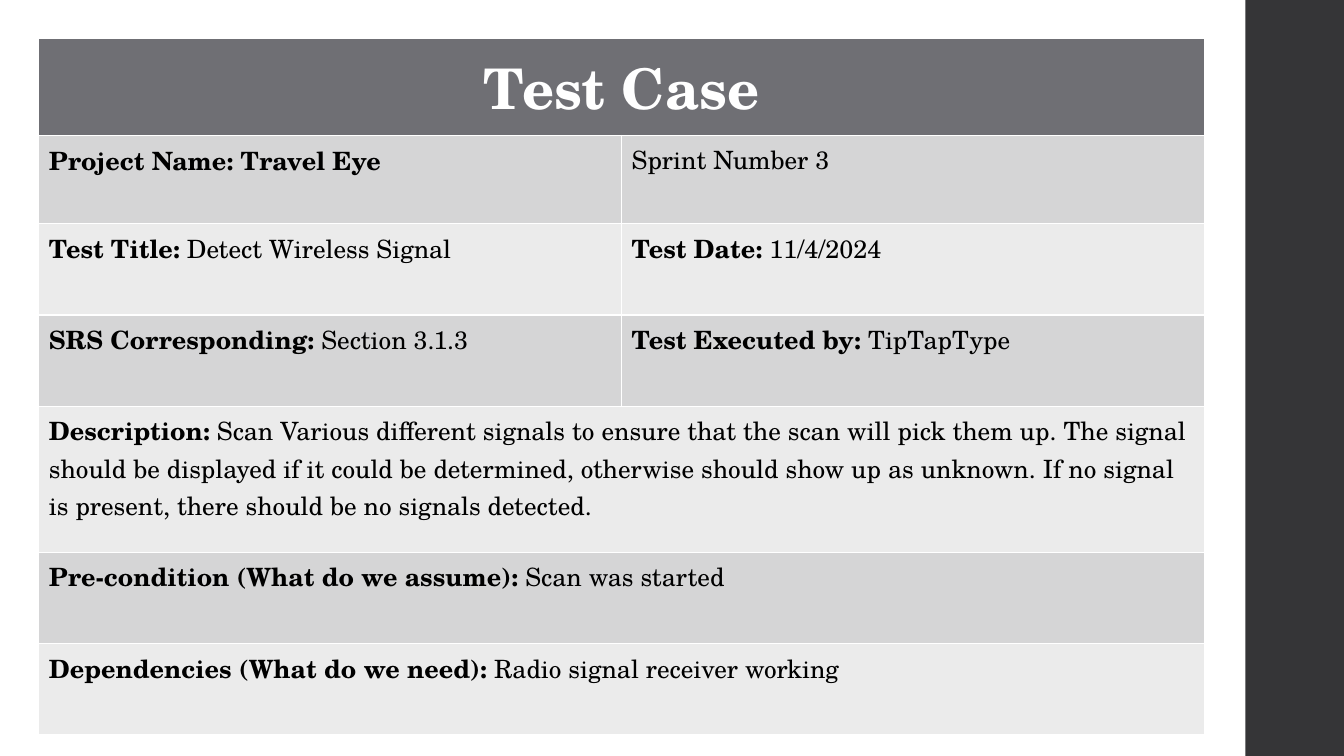
import pptx
import pptx.dml.color
import pptx.enum.shapes
import pptx.enum.text
import pptx.util

EMU_PER_PX = 9525
SLIDE_SIZE = (1280, 720)
FONT = "TeX Gyre Schola"
HEADER_FILL = "6F6F74"
BAND_FILLS = ("EBEBEB", "D5D5D6")
ROW_HEIGHTS = (84, 84, 87, 87, 139, 87, 87)
COLUMN_WIDTH = 555

# Each row holds its cells, and each cell is a (bold label, plain value) pair.
DETAILS = (
    (("Project Name: Travel Eye", ""), ("", "Sprint Number 3")),
    (("Test Title:", " Detect Wireless Signal"), ("Test Date:", " 11/4/2024")),
    (("SRS Corresponding:", " Section 3.1.3"),
     ("Test Executed by: ", "TipTapType")),
    (("Description:",
      " Scan Various different signals to ensure that the scan will pick them up. "
      "The signal should be displayed if it could be determined, otherwise should "
      "show up as unknown. If no signal is present, there should be no signals "
      "detected."),),
    (("Pre-condition (What do we assume):", " Scan was started"),),
    (("Dependencies (What do we need):", " Radio signal receiver working"),),
)


def px(length):
    return pptx.util.Emu(length * EMU_PER_PX)


def paint(fill, color):
    fill.solid()
    fill.fore_color.rgb = pptx.dml.color.RGBColor.from_string(color)


def add_run(paragraph, text, size, color, bold):
    run = paragraph.add_run()
    run.text = text
    run.font.name = FONT
    run.font.size = pptx.util.Pt(size)
    run.font.bold = bold
    run.font.color.rgb = pptx.dml.color.RGBColor.from_string(color)


def add_sidebar(slide):
    left = 1186
    sidebar = slide.shapes.add_shape(
        pptx.enum.shapes.MSO_SHAPE.RECTANGLE,
        px(left), 0, px(SLIDE_SIZE[0] - left), px(SLIDE_SIZE[1]))
    sidebar.shadow.inherit = False
    paint(sidebar.fill, "353537")
    sidebar.line.fill.background()


def add_test_table(slide):
    table = slide.shapes.add_table(
        len(ROW_HEIGHTS), 2, px(37), px(37),
        px(2 * COLUMN_WIDTH), px(sum(ROW_HEIGHTS))).table
    for column in table.columns:
        column.width = px(COLUMN_WIDTH)
    for row, height in zip(table.rows, ROW_HEIGHTS):
        row.height = px(height)
    return table


def merge_row(table, row):
    table.cell(row, 0).merge(table.cell(row, 1))


def fill_header(table):
    merge_row(table, 0)
    for cell in table.rows[0].cells:
        paint(cell.fill, HEADER_FILL)
    heading = table.cell(0, 0).text_frame.paragraphs[0]
    heading.alignment = pptx.enum.text.PP_ALIGN.CENTER
    add_run(heading, "Test Case", 40, "FFFFFF", True)


def fill_details(table):
    for row, details in enumerate(DETAILS, start=1):
        if len(details) == 1:
            merge_row(table, row)
        for cell in table.rows[row].cells:
            paint(cell.fill, BAND_FILLS[row % 2])
        for column, (label, value) in enumerate(details):
            paragraph = table.cell(row, column).text_frame.paragraphs[0]
            for text, bold in ((label, True), (value, False)):
                if text:
                    add_run(paragraph, text, 18, "000000", bold)


def main():
    deck = pptx.Presentation()
    deck.slide_width, deck.slide_height = map(px, SLIDE_SIZE)
    slide = deck.slides.add_slide(deck.slide_layouts.get_by_name("Blank"))
    add_sidebar(slide)
    table = add_test_table(slide)
    fill_header(table)
    fill_details(table)
    deck.save("out.pptx")


if __name__ == "__main__":
    main()
